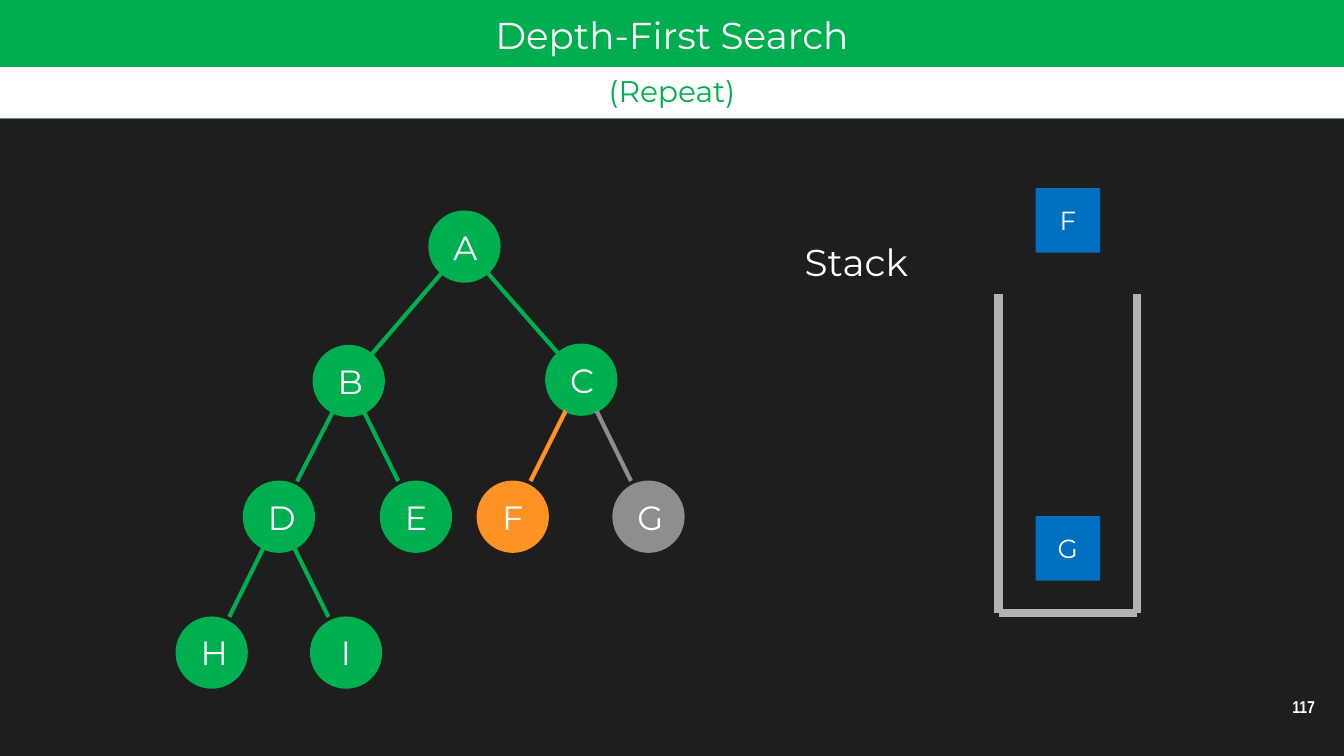
from dataclasses import dataclass
from math import hypot

from lxml import etree
from pptx import Presentation
from pptx.dml.color import RGBColor
from pptx.enum.shapes import MSO_CONNECTOR, MSO_SHAPE
from pptx.enum.text import MSO_ANCHOR, MSO_AUTO_SIZE, PP_ALIGN
from pptx.oxml.ns import qn
from pptx.util import Pt

RECT, OVAL = MSO_SHAPE.RECTANGLE, MSO_SHAPE.OVAL
LINE = MSO_CONNECTOR.STRAIGHT
TOP, MIDDLE = MSO_ANCHOR.TOP, MSO_ANCHOR.MIDDLE
CENTER = PP_ALIGN.CENTER
FIXED = MSO_AUTO_SIZE.NONE


@dataclass(frozen=True)
class Theme:
    font: str = "Montserrat"
    num_font: str = "Arial Narrow"
    back: str = "1E1E1E"
    white: str = "FFFFFF"
    bar: str = "00AE4F"
    done: str = "00B050"
    now: str = "FF9225"
    todo: str = "8E8E8E"
    item: str = "0070C0"
    wall: str = "B3B3B3"
    head: float = 20
    sub: float = 16
    node: float = 18
    cell: float = 14
    num: float = 9.2


T = Theme()

# Content: tree nodes as name -> (center x, center y, color)
NODES = {
    "A": (248.8, 132.1, T.done),
    "B": (186.8, 204.1, T.done),
    "C": (311.4, 203.4, T.done),
    "D": (149.4, 276.8, T.done),
    "E": (222.8, 276.8, T.done),
    "F": (274.7, 276.8, T.now),
    "G": (347.4, 276.8, T.todo),
    "H": (113.4, 349.6, T.done),
    "I": (185.4, 349.6, T.done),
}
TREE = {"A": "BC", "B": "DE", "C": "FG", "D": "HI"}
ROOT = "A"
STACK = [("F", 100.8), ("G", 276.5)]  # name, top

NODE = 36.7
GAP_UP, GAP_LOW, GAP_ROOT = 18.7, 21.3, 18.7  # node center to edge end
CELL = 34.6
PIT_L, PIT_R, PIT_TOP, PIT_END = 535, 609.1, 157.7, 328.3


def rgb(color):
    return RGBColor.from_string(color)


def place(shape, x, y, w, h):
    shape.left, shape.top, shape.width, shape.height = map(Pt, (x, y, w, h))


def write(shape, text, size, color=T.white, font=T.font, bold=False,
          anchor=TOP, pad=(7.2, 7.2), space=None):
    frame = shape.text_frame
    frame.word_wrap = True
    frame.auto_size = FIXED
    frame.vertical_anchor = anchor
    frame.margin_left = frame.margin_right = Pt(pad[0])
    frame.margin_top = frame.margin_bottom = Pt(pad[1])
    para = frame.paragraphs[0]
    para.alignment = CENTER
    para.space_before = Pt(0)
    if space:
        para.line_spacing = space
    run = para.add_run()
    run.text = text
    run.font.name, run.font.size, run.font.bold = font, Pt(size), bold
    run.font.color.rgb = rgb(color)


def paint(shape, color):
    shape.fill.solid()
    shape.fill.fore_color.rgb = rgb(color)


def draw(slide, kind, x, y, side, color, text, size, edge=0):
    shape = slide.shapes.add_shape(kind, *map(Pt, (x, y, side, side)))
    shape.shadow.inherit = False
    paint(shape, color)
    if edge:
        shape.line.color.rgb = rgb(color)
        shape.line.width = Pt(edge)
    else:
        shape.line.fill.background()
    write(shape, text, size, anchor=MIDDLE, pad=(7.2, 3.6))


def rule(slide, x1, y1, x2, y2, color, width):
    line = slide.shapes.add_connector(LINE, *map(Pt, (x1, y1, x2, y2)))
    line.line.color.rgb = rgb(color)
    line.line.width = Pt(width)
    etree.SubElement(line._element.spPr, qn("a:effectLst"))


def link(slide, parent, child):
    """Join two nodes, stopping short of each one's center."""
    x1, y1, _ = NODES[parent]
    x2, y2, color = NODES[child]
    span = hypot(x2 - x1, y2 - y1)
    dx, dy = (x2 - x1) / span, (y2 - y1) / span
    low = GAP_ROOT if parent == ROOT else GAP_LOW
    rule(slide, x1 + dx * GAP_UP, y1 + dy * GAP_UP,
         x2 - dx * low, y2 - dy * low, color, 2.25)


def label(slide, box, text, size, **style):
    write(slide.shapes.add_textbox(*map(Pt, box)), text, size, **style)


def main():
    deck = Presentation()
    deck.slide_width, deck.slide_height = Pt(720), Pt(405)
    slide = deck.slides.add_slide(deck.slide_layouts[0])
    slide.background.fill.solid()
    slide.background.fill.fore_color.rgb = rgb(T.back)

    title, sub = slide.placeholders
    place(title, 0, -0.7, 720, 64.1)
    paint(title, T.bar)
    write(title, "Depth-First Search", T.head)
    place(sub, 0, 36, 720, 27.4)
    paint(sub, T.white)
    write(sub, "(Repeat)", T.sub, color=T.bar, space=Pt(15))

    for name, (x, y, color) in NODES.items():
        draw(slide, OVAL, x - NODE / 2, y - NODE / 2, NODE, color,
             name, T.node, edge=2)
    for parent, kids in TREE.items():
        for child in kids:
            link(slide, parent, child)

    label(slide, (405.4, 121, 106.6, 36.7), "Stack", T.head)
    for x in (PIT_L, PIT_R):
        rule(slide, x, PIT_END, x, PIT_TOP, T.wall, 4.5)
    rule(slide, PIT_L, PIT_END, PIT_R, PIT_END, T.wall, 4.5)
    for name, top in STACK:
        draw(slide, RECT, (PIT_L + PIT_R - CELL) / 2, top, CELL, T.item,
             name, T.cell)

    label(slide, (676.8, 367.2, 43.2, 24.5), "117", T.num,
          font=T.num_font, bold=True, anchor=MIDDLE, space=0.9)
    deck.save("out.pptx")


if __name__ == "__main__":
    main()
